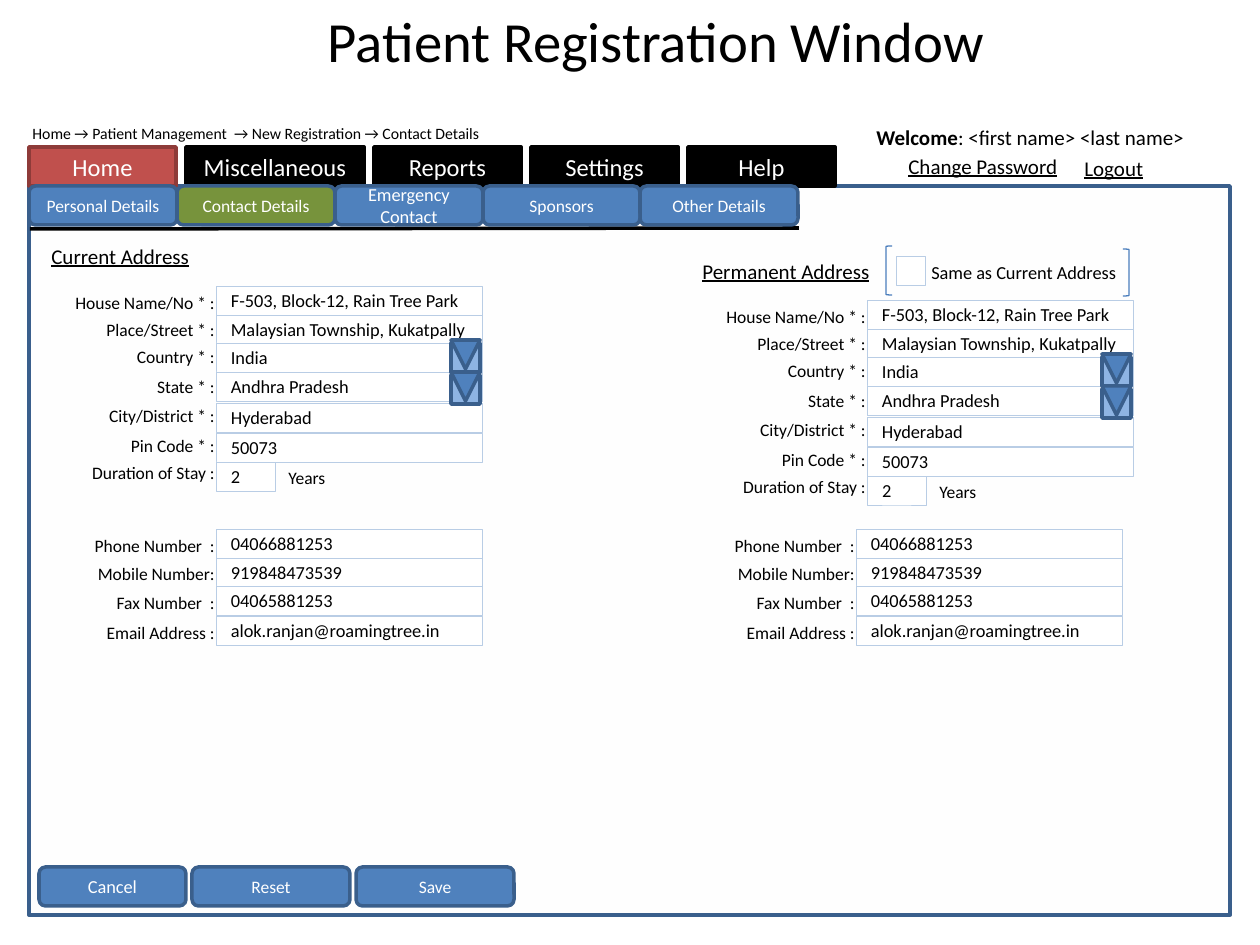
from lxml.etree import SubElement
from pptx import Presentation
from pptx.dml.color import RGBColor
from pptx.enum.shapes import MSO_CONNECTOR, MSO_SHAPE
from pptx.enum.text import MSO_ANCHOR, MSO_AUTO_SIZE, PP_ALIGN
from pptx.oxml.ns import qn
from pptx.util import Emu, Pt

SCALE = 914400 / 126
BLUE, NAVY, SKY = "4F81BD", "3A5F8C", "8EB4E3"
BLACK, WHITE, FIELD_EDGE = "000000", "FFFFFF", "B9CDE5"
ADDRESS_ROWS = [
    ("House Name/No * :", 0, "F-503, Block-12, Rain Tree Park", 0, 266),
    ("Place/Street * :", 27, "Malaysian Township, Kukatpally", 29, 266),
    ("Country * :", 54, "India", 57, 266),
    ("State * :", 84, "Andhra Pradesh", 86, 266),
    ("City/District * :", 113, "Hyderabad", 117, 266),
    ("Pin Code * :", 143, "50073", 147, 266),
    ("Duration of Stay :", 170, "2", 176, 59),
]
CONTACT_ROWS = [
    ("Phone Number  :", 0, "04066881253", 0, 266),
    ("Mobile Number:", 28, "919848473539", 29, 266),
    ("Fax Number  :", 57, "04065881253", 57, 266),
    ("Email Address :", 87, "alok.ranjan@roamingtree.in", 87, 266),
]


def px(length):
    """Turn pixels into EMU."""
    return Emu(round(length * SCALE))


def color(hex_string):
    """Turn a hex string into a colour."""
    return RGBColor.from_string(hex_string)


def write(frame, runs, align=PP_ALIGN.LEFT, **formats):
    """Write runs of (text, own formats) as the only paragraph of a frame."""
    para = frame.paragraphs[0]
    para.alignment = align
    for text, own in runs:
        span = para.add_run()
        span.text = text
        values = {"name": "Calibri", "size": Pt(10), "color": BLACK, **formats, **own}
        span.font.color.rgb = color(values.pop("color"))
        for name, value in values.items():
            setattr(span.font, name, value)


def add_text(page, box, runs, align=PP_ALIGN.LEFT, wrap=True, **formats):
    """Add a text box."""
    frame = page.shapes.add_textbox(*map(px, box)).text_frame
    frame.word_wrap = wrap
    write(frame, runs, align, **formats)


def add_block(page, kind, box, fill, line, weight):
    """Add a preset shape with the given fill and outline."""
    shape = page.shapes.add_shape(kind, *map(px, box))
    shape.shadow.inherit = False
    if fill:
        shape.fill.solid()
        shape.fill.fore_color.rgb = color(fill)
    else:
        shape.fill.background()
    shape.line.color.rgb = color(line)
    shape.line.width = Pt(weight)
    return shape


def add_field(page, box, value=""):
    """Add an input field."""
    frame = add_block(page, MSO_SHAPE.RECTANGLE, box, WHITE, FIELD_EDGE, 0.25).text_frame
    frame.margin_left = px(15)
    frame.vertical_anchor = MSO_ANCHOR.MIDDLE
    if value:
        write(frame, [(value, {})], size=Pt(10.5))


def add_button_row(page, box, kind, gap, buttons, line=NAVY):
    """Add buttons side by side from the left of the box."""
    left, top, height = box
    for label, width, fill, size in buttons:
        edge = "8E3B39" if fill == "C0504D" else line
        frame = add_block(page, kind, (left, top, width, height), fill, edge, 2).text_frame
        frame.word_wrap = True
        frame.vertical_anchor = MSO_ANCHOR.MIDDLE
        write(frame, [(label, {})], PP_ALIGN.CENTER, size=Pt(size), color=WHITE)
        left += width + gap


def add_form(page, left, top, rows):
    """Add labelled fields below the given corner."""
    for label, label_top, value, field_top, width in rows:
        add_text(page, (left, top + label_top, 178, 34), [(label, {})], PP_ALIGN.RIGHT)
        add_field(page, (left + 167, top + field_top, width, 29), value)


def add_address(page, left, top, heading, heading_top):
    """Add an address form with its heading and drop-down buttons."""
    add_text(page, (left - 10, heading_top, 227, 38), [(heading, {})],
             size=Pt(12), underline=True)
    add_form(page, left, top, ADDRESS_ROWS)
    add_text(page, (left + 227, top + 175, 147, 34), [("Years", {})])
    for offset in (54, 86):
        box = (left + 402, top + offset, 29, 29)
        add_block(page, MSO_SHAPE.RECTANGLE, (box[0], box[1] + 3, 29, 29), SKY, NAVY, 2)
        add_block(page, MSO_SHAPE.FLOWCHART_MERGE, box, BLUE, NAVY, 2)


def add_same_address(page, left, top):
    """Add the bracketed check box."""
    add_field(page, (left + 10, top + 10, 29, 29))
    add_text(page, (left + 33, top + 9, 227, 37),
             [("Same as Current Address", {})], size=Pt(10.5))
    add_block(page, MSO_SHAPE.LEFT_BRACKET, (left, top, 6, 49), None, "4B7EBC", 0.75)
    add_block(page, MSO_SHAPE.RIGHT_BRACKET, (left + 237, top + 3, 6, 47),
              None, "4B7EBC", 0.75)


def add_header(page):
    """Add the title, breadcrumb and user links."""
    title = page.shapes.title
    for name, value in zip(("left", "top", "width", "height"), (210, 10, 892, 59)):
        setattr(title, name, px(value))
    frame = title.text_frame
    frame.auto_size = MSO_AUTO_SIZE.NONE
    frame.vertical_anchor = MSO_ANCHOR.MIDDLE
    write(frame, [("Patient Registration Window", {})], PP_ALIGN.CENTER, size=Pt(32.4))
    trail = "Home → Patient Management  → New Registration → Contact Details"
    add_text(page, (20, 118, 659, 32), [(trail, {})], size=Pt(9))
    add_text(page, (864, 118, 336, 38),
             [("Welcome", {"bold": True}), (": <first name> <last name>", {})],
             wrap=False, size=Pt(12))
    for label, box in (("Change Password", (896, 147, 176, 38)),
                       ("Logout", (1072, 149, 84, 38))):
        add_text(page, box, [(label, {})], wrap=False, size=Pt(12), underline=True)


def add_window(page, left, top, width, height):
    """Add the window frame with its menu, tabs and action buttons."""
    panel = add_block(page, MSO_SHAPE.RECTANGLE, (left, top, width, height),
                      "F2F2F2", NAVY, 2)
    tint = panel.fill._xPr.find(qn("a:solidFill"))[0]
    SubElement(tint, qn("a:alpha")).set("val", "4000")
    add_button_row(page, (left, top - 39, 39), MSO_SHAPE.RECTANGLE, 10, [
        ("Home", 147, "C0504D", 14), ("Miscellaneous", 178, BLACK, 14),
        ("Reports", 147, BLACK, 14), ("Settings", 147, BLACK, 14),
        ("Help", 147, BLACK, 14)], BLACK)
    rule = page.shapes.add_connector(
        MSO_CONNECTOR.STRAIGHT,
        *map(px, (left + 1, top + 43, left + 770, top + 42)))
    rule.line.color.rgb = color(BLACK)
    rule.line.width = Pt(2)
    SubElement(rule._element.spPr, qn("a:effectLst"))
    add_button_row(page, (left, top, 39), MSO_SHAPE.ROUNDED_RECTANGLE, 0, [
        ("Personal Details", 148, BLUE, 10), ("Contact Details", 158, "77933C", 10),
        ("Emergency Contact", 148, BLUE, 10.5), ("Sponsors", 157, BLUE, 10),
        ("Other Details", 158, BLUE, 10)])
    add_button_row(page, (left + 10, top + height - 48, 39),
                   MSO_SHAPE.ROUNDED_RECTANGLE, 6, [
        ("Cancel", 147, BLUE, 10.5), ("Reset", 158, BLUE, 10), ("Save", 158, BLUE, 10)])


def main():
    """Build and save the deck."""
    deck = Presentation()
    deck.slide_width, deck.slide_height = px(1260), px(945)
    page = deck.slides.add_slide(deck.slide_layouts[5])
    add_header(page)
    add_window(page, 29, 186, 1201, 729)
    add_address(page, 49, 286, "Current Address", 237)
    add_address(page, 700, 300, "Permanent Address", 252)
    add_same_address(page, 886, 246)
    for left in (49, 689):
        add_form(page, left, 529, CONTACT_ROWS)
    deck.save("out.pptx")


if __name__ == "__main__":
    main()
